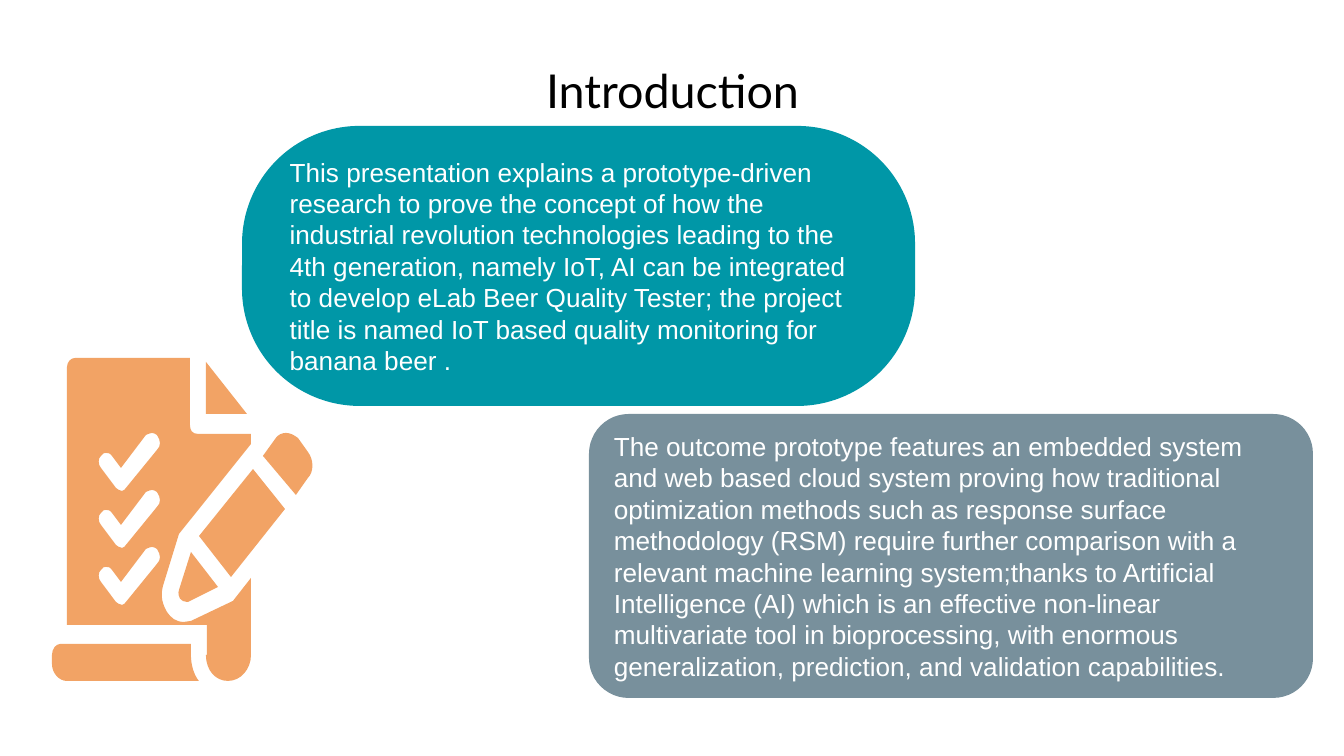
from pptx import Presentation
from pptx.dml.color import RGBColor
from pptx.enum.shapes import MSO_SHAPE
from pptx.enum.text import MSO_ANCHOR, PP_ALIGN
from pptx.oxml.ns import qn
from pptx.util import Emu, Inches, Pt

ROUNDED = MSO_SHAPE.ROUNDED_RECTANGLE
MIDDLE = MSO_ANCHOR.MIDDLE
LEFT, CENTER = PP_ALIGN.LEFT, PP_ALIGN.CENTER
PX = 914400 / 134.4
INSET = Inches(0.1)
CHECK_PITCH = 57

THEME = {
    "teal": RGBColor.from_string("0097A7"),
    "slate": RGBColor.from_string("78909C"),
    "orange": RGBColor.from_string("F2A365"),
    "white": RGBColor.from_string("FFFFFF"),
    "black": RGBColor.from_string("000000"),
    "title": ("Lato", Pt(25)),
    "body": ("Arial", Pt(14)),
}


def write_text(shape, text, style, color, align):
    frame = shape.text_frame
    margins = {f"margin_{side}": INSET for side in ("left", "right", "top", "bottom")}
    for name, value in {"word_wrap": True, "vertical_anchor": MIDDLE, **margins}.items():
        setattr(frame, name, value)
    para = frame.paragraphs[0]
    para.alignment = align
    span = para.add_run()
    span.text = text
    span.font.name, span.font.size = THEME[style]
    span.font.color.rgb = THEME[color]


def draw_outline(shapes, contours):
    """Draw contours of points (x, y) and cubic curves (x1, y1, x2, y2, x, y)."""
    builder = shapes.build_freeform(*contours[0][0], scale=PX)
    for contour in contours:
        if contour is not contours[0]:
            builder.move_to(*contour[0])
        points = [step[i:i + 2] for step in contour[1:] for i in range(0, len(step), 2)]
        builder.add_line_segments(points, close=True)
    shape = builder.convert_to_shape()
    # Join the three line segments of each curve into one Bezier segment
    segments = iter(list(shape._element.iter(qn("a:lnTo"))))
    for step in (step for contour in contours for step in contour[1:]):
        segment = next(segments)
        if len(step) == 6:
            segment.tag = qn("a:cubicBezTo")
            for _ in range(2):
                extra = next(segments)
                segment.append(extra[0])
                extra.getparent().remove(extra)
    return shape


deck = Presentation()
deck.slide_width, deck.slide_height = Emu(round(1344 * PX)), Emu(round(756 * PX))
page = deck.slides.add_slide(deck.slide_layouts[5])

# Text panels
panels = [
    ((242, 126, 673, 280), 0.42, "teal",
     "This presentation explains a prototype-driven research to prove the concept of how "
     "the industrial revolution technologies leading to the 4th generation, namely IoT, AI "
     "can be integrated to develop eLab Beer Quality Tester; the project title is named IoT "
     "based quality monitoring for banana beer ."),
    ((589, 414, 724, 284), 0.14, "slate",
     "The outcome prototype features an embedded system and web based cloud system proving "
     "how traditional optimization methods such as response surface methodology (RSM) "
     "require further comparison with a relevant machine learning system;thanks to "
     "Artificial Intelligence (AI) which is an effective non-linear multivariate tool in "
     "bioprocessing, with enormous generalization, prediction, and validation capabilities."),
]
for bounds, rounding, color, text in panels:
    panel = page.shapes.add_shape(ROUNDED, *(Emu(round(v * PX)) for v in bounds))
    panel.adjustments[0] = rounding
    panel.shadow.inherit = False
    panel.fill.solid()
    panel.fill.fore_color.rgb = THEME[color]
    panel.line.fill.background()
    write_text(panel, text, "body", "white", LEFT)

# Checklist icon: the check marks are holes in the sheet
check = [
    (152, 433), (153, 433, 156, 434, 157, 435), (161, 441, 161, 446, 157, 450),
    (126, 488), (125, 489, 124, 491, 122, 491), (120, 491, 117, 489, 116, 488),
    (101, 468), (98, 465, 98, 458, 101, 456), (102, 453, 105, 453, 106, 453),
    (108, 453, 110, 453, 112, 456), (121, 468), (146, 435),
    (148, 434, 151, 433, 152, 433),
]
sheet = [
    (75, 358), (71, 358, 67, 362, 67, 367), (67, 625), (207, 625), (207, 655),
    (206, 655), (206, 671, 216, 681, 228, 681), (241, 681, 251, 669, 251, 655),
    (251, 578), (233, 601), (191, 621), (188, 622, 187, 622, 184, 622),
    (176, 622, 171, 618, 167, 612), (163, 605, 160, 597, 163, 586), (179, 534),
    (251, 444), (251, 434), (198, 434), (192, 434, 190, 430, 190, 425), (190, 358),
]
eraser = [
    (286, 433), (282, 433, 278, 435, 276, 438), (263, 456), (296, 495), (308, 478),
    (314, 472, 314, 460, 308, 452), (298, 438), (294, 435, 290, 433, 286, 433),
]
tip = [(191, 552), (179, 590), (177, 597, 181, 602, 187, 602), (188, 602), (218, 587)]
barrel = [(253, 469), (199, 536), (231, 577), (285, 509)]
fold = [(206, 362), (206, 414), (247, 414)]
roll = [
    (60, 644), (56, 644, 52, 649, 52, 655), (52, 664), (52, 673, 59, 681, 67, 681),
    (199, 681), (194, 675, 191, 665, 191, 655), (191, 644),
]
checks = [
    [tuple(v + row * CHECK_PITCH * (i % 2) for i, v in enumerate(step)) for step in check]
    for row in range(3)
]
icon = page.shapes.add_group_shape()
for contours in ([sheet, *checks], [eraser], [tip], [barrel], [fold], [roll]):
    part = draw_outline(icon.shapes, contours)
    part.shadow.inherit = False
    part.fill.solid()
    part.fill.fore_color.rgb = THEME["orange"]
    part.line.fill.background()

# Title
title = page.shapes.title
title_bounds = {"left": 105, "top": 60, "width": 1135, "height": 59}
for name, value in title_bounds.items():
    setattr(title, name, Emu(round(value * PX)))
write_text(title, "Introduction", "title", "black", CENTER)

deck.save("out.pptx")
